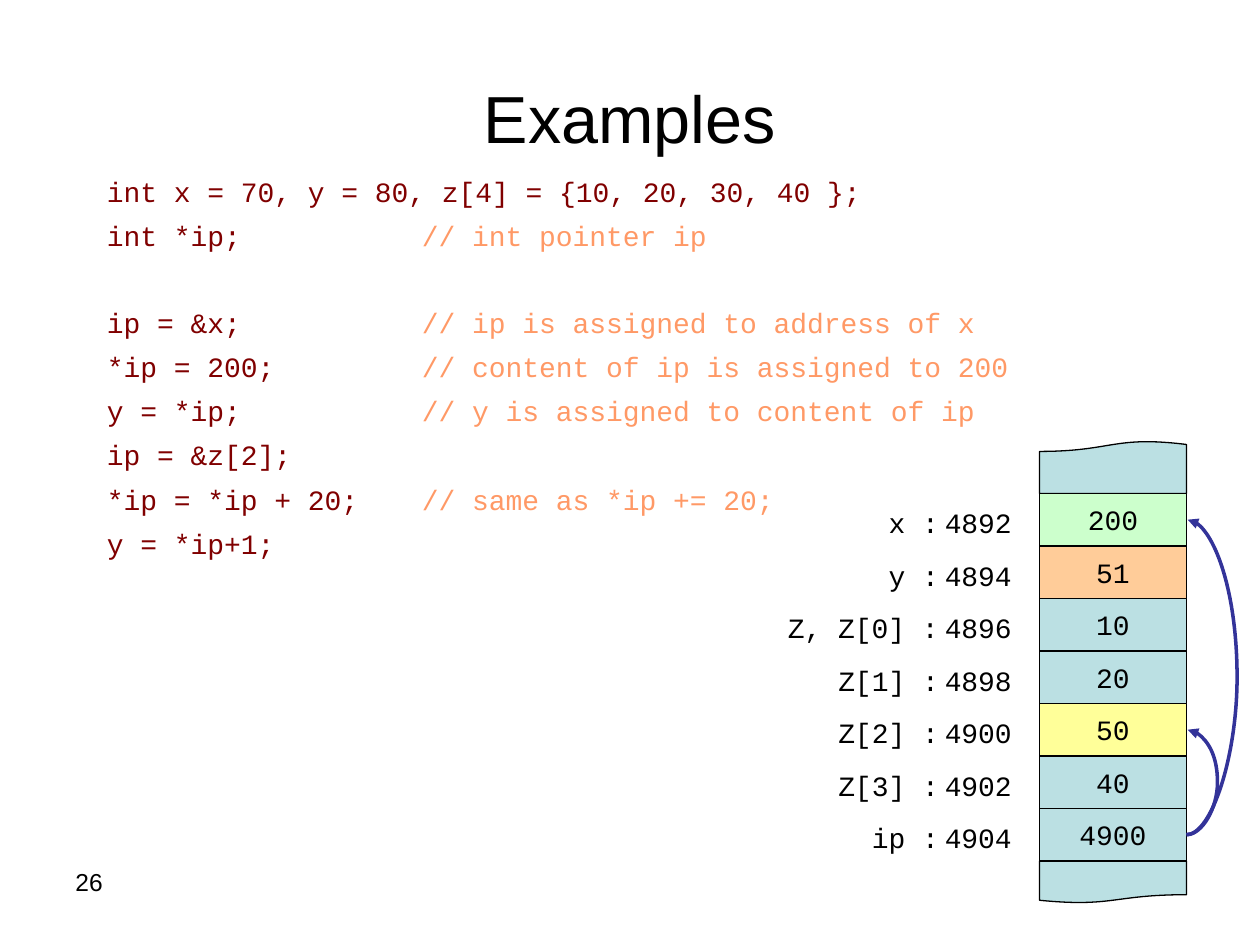
from dataclasses import dataclass
from lxml.etree import SubElement
from pptx import Presentation
from pptx.dml.color import RGBColor
from pptx.enum.shapes import MSO_CONNECTOR as Connector, MSO_SHAPE as Shape
from pptx.enum.text import MSO_ANCHOR as Anchor, PP_ALIGN as Align
from pptx.oxml.ns import qn
from pptx.util import Inches, Pt

COLUMNS, ROWS = 120, 90


@dataclass(frozen=True)
class Theme:
    sans: str = "Arial"
    mono: str = "Courier New"
    title_size: int = 38
    number_size: int = 14
    code_size: int = 16
    ink: str = "000000"
    code: str = "800000"
    comment: str = "FF9966"
    pointer: str = "333399"
    plain: str = "BBE0E3"
    green: str = "CCFFCC"
    orange: str = "FFCC99"
    yellow: str = "FFFF99"


@dataclass
class Board:
    deck: object
    slide: object
    theme: Theme

    def x(self, columns):
        return int(self.deck.slide_width * columns / COLUMNS)

    def y(self, rows):
        return int(self.deck.slide_height * rows / ROWS)

    def area(self, left, top, width, height):
        return self.x(left), self.y(top), self.x(width), self.y(height)

    def run(self, paragraph, words, size, color=None, face=None):
        piece = paragraph.add_run()
        piece.text = words
        piece.font.size = Pt(size)
        piece.font.name = face or self.theme.mono
        piece.font.color.rgb = RGBColor.from_string(color or self.theme.ink)

    def title(self, words, *area):
        heading = self.slide.shapes.title
        heading.left, heading.top, heading.width, heading.height = self.area(*area)
        heading.text_frame.vertical_anchor = Anchor.MIDDLE
        paragraph = heading.text_frame.paragraphs[0]
        paragraph.alignment = Align.CENTER
        self.run(paragraph, words, self.theme.title_size, face=self.theme.sans)

    def text(self, words, *area, size=None, face=None, align=Align.LEFT, wrap=False):
        frame = self.slide.shapes.add_textbox(*self.area(*area)).text_frame
        frame.word_wrap = wrap
        paragraph = frame.paragraphs[0]
        paragraph.alignment = align
        self.run(paragraph, words, size or self.theme.code_size, face=face)

    def listing(self, groups, *area, tab):
        frame = self.slide.shapes.add_textbox(*self.area(*area)).text_frame
        frame.word_wrap = True
        paragraph = None
        for group in groups:
            for index, (statement, remark) in enumerate(group):
                gap = paragraph is not None and index == 0
                paragraph = frame.add_paragraph() if paragraph else frame.paragraphs[0]
                paragraph.line_spacing = 1.32
                if gap:
                    paragraph.space_before = Pt(24)
                stops = SubElement(paragraph._p.get_or_add_pPr(), qn("a:tabLst"))
                SubElement(stops, qn("a:tab"), pos=str(self.x(tab)), algn="l")
                lead = statement + "\t" if remark else statement
                self.run(paragraph, lead, self.theme.code_size, self.theme.code)
                if remark:
                    self.run(paragraph, remark, self.theme.code_size, self.theme.comment)

    def block(self, kind, fill, *area, words="", rotation=0):
        block = self.slide.shapes.add_shape(kind, *self.area(*area))
        block.shadow.inherit = False
        block.rotation = rotation
        block.fill.solid()
        block.fill.fore_color.rgb = RGBColor.from_string(fill)
        block.line.color.rgb = RGBColor.from_string(self.theme.ink)
        block.line.width = Pt(0.75)
        if words:
            frame = block.text_frame
            frame.word_wrap = False
            frame.vertical_anchor = Anchor.MIDDLE
            frame.paragraphs[0].alignment = Align.CENTER
            self.run(frame.paragraphs[0], words, self.theme.code_size)

    def pointer(self, column, start, end, bulge):
        span = 0.12
        arrow = self.slide.shapes.add_connector(
            Connector.CURVE, self.x(column), self.y(start), self.x(column + span), self.y(end))
        arrow.line.color.rgb = RGBColor.from_string(self.theme.pointer)
        arrow.line.width = Pt(2)
        properties = arrow._element.spPr
        guides = properties.find(qn("a:prstGeom")).get_or_add_avLst()
        SubElement(guides, qn("a:gd"), name="adj1", fmla=f"val {round(bulge / span * 100000)}")
        SubElement(arrow.line._get_or_add_ln(), qn("a:tailEnd"), type="triangle")
        SubElement(properties, qn("a:effectLst"))


def main():
    deck = Presentation()
    deck.slide_width, deck.slide_height = Inches(10), Inches(7.5)
    theme = Theme()
    board = Board(deck, deck.slides.add_slide(deck.slide_layouts[5]), theme)

    board.title("Examples", 6, 3.6, 108, 15)
    board.text("26", 6, 82, 28, 6.2, size=theme.number_size, face=theme.sans, wrap=True)

    declarations = [
        ("int x = 70, y = 80, z[4] = {10, 20, 30, 40 };", ""),
        ("int *ip;", "// int pointer ip"),
    ]
    assignments = [
        ("ip = &x;", "// ip is assigned to address of x"),
        ("*ip = 200;", "// content of ip is assigned to 200"),
        ("y = *ip;", "// y is assigned to content of ip"),
        ("ip = &z[2];", ""),
        ("*ip = *ip + 20;", "// same as *ip += 20;"),
        ("y = *ip+1;", ""),
    ]
    board.listing([declarations, assignments], 9, 15, 106.2, 57.7, tab=30)

    memory = [
        ("x", "200", theme.green),
        ("y", "51", theme.orange),
        ("Z, Z[0]", "10", theme.plain),
        ("Z[1]", "20", theme.plain),
        ("Z[2]", "50", theme.yellow),
        ("Z[3]", "40", theme.plain),
        ("ip", "4900", theme.plain),
    ]
    left, width, first, step = 99, 14, 47, 5
    board.block(Shape.FLOWCHART_DOCUMENT, theme.plain, left, first - step, width, step, rotation=180)
    board.block(Shape.FLOWCHART_DOCUMENT, theme.plain, left, first + step * len(memory), width, 4)
    for index, (variable, value, fill) in enumerate(memory):
        top = first + step * index
        label = f"{variable} :"
        label_width = 1.6 * len(label) + 2.4
        board.text(label, 90.6 - label_width, top + 0.6, label_width, 4.4, align=Align.RIGHT)
        board.text(str(4892 + 2 * index), 88.8, top + 0.6, 8.9, 4.4)
        board.block(Shape.RECTANGLE, fill, left, top, width, step, words=value)

    middles = {variable: first + step * (index + 0.5) for index, (variable, _, _) in enumerate(memory)}
    for target, bulge in (("x", 4.9), ("Z[2]", 3)):
        board.pointer(left + width, middles["ip"], middles[target], bulge)

    deck.save("out.pptx")


if __name__ == "__main__":
    main()
